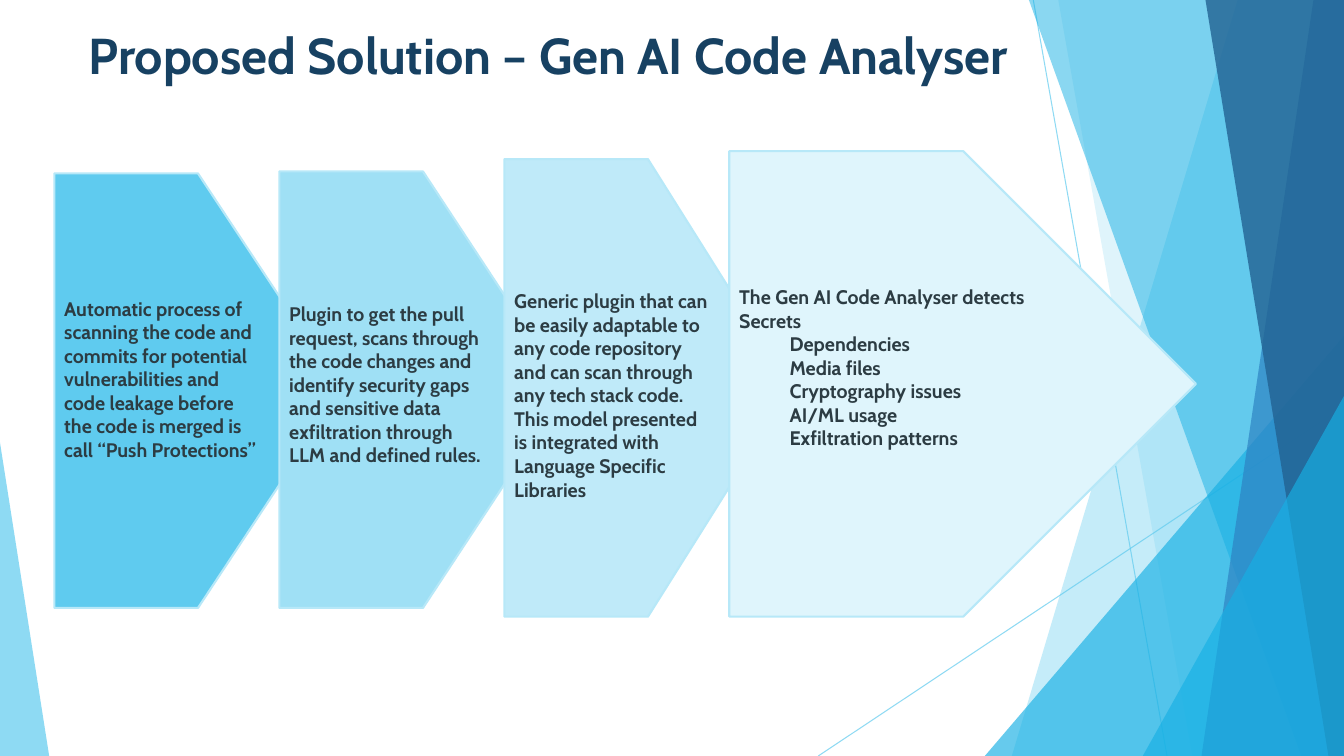
from dataclasses import dataclass

from lxml.etree import SubElement
from pptx import Presentation
from pptx.dml.color import RGBColor as Rgb
from pptx.enum.shapes import MSO_CONNECTOR as Link, MSO_SHAPE as Form
from pptx.enum.text import MSO_ANCHOR as Anchor, PP_ALIGN as Align
from pptx.oxml.ns import qn
from pptx.util import Cm, Pt


@dataclass(frozen=True)
class Theme:
    """Colours, font and type sizes of the slide."""
    font: str = "Cabin"
    title: str = "174162"
    ink: str = "2C3C43"
    edge: str = "B7E8F8"
    sky: str = "5FCBEF"
    cyan: str = "17B0E4"
    blue: str = "2E83C3"
    navy: str = "226292"
    steps: tuple = ("5FCBEF", "9FE0F5", "BFEAF9", "DFF5FC")
    head: int = 36
    body: int = 14


WIDE, HIGH = 33.87, 19.05


def tint(fmt, color, alpha=100):
    """Set a solid colour and its opacity in percent."""
    fmt.solid()
    fmt.fore_color.rgb = Rgb.from_string(color)
    if alpha < 100:
        node = next(fmt._xPr.iter(qn("a:srgbClr")))
        SubElement(node, qn("a:alpha"), val=str(alpha * 1000))


def write(frame, lines, *, font, size, color, inset=0, anchor=Anchor.TOP):
    """Fill a frame with bold lines, indenting all after the first."""
    frame.word_wrap = True
    frame.vertical_anchor = anchor
    for row, line in enumerate(lines):
        para = frame.paragraphs[0] if row == 0 else frame.add_paragraph()
        para.alignment = Align.LEFT
        if row and inset:
            prop = para._p.get_or_add_pPr()
            prop.set("marL", str(Cm(inset)))
            prop.set("indent", "0")
        run = para.add_run()
        run.text = line
        run.font.name, run.font.size, run.font.bold = font, Pt(size), True
        run.font.color.rgb = Rgb.from_string(color)


class Painter:
    """Draws themed elements on the current slide."""

    def __init__(self, slide, theme):
        """Keep the slide and the theme."""
        self.shapes, self.theme = slide.shapes, theme

    def line(self, *ends):
        """Draw a thin translucent line."""
        link = self.shapes.add_connector(Link.STRAIGHT, *map(Cm, ends))
        link.line.width = Pt(0.75)
        tint(link.line.fill, self.theme.sky, 70)
        SubElement(link._element.spPr, qn("a:effectLst"))

    def plain(self, shape, color, alpha):
        """Give a shape a flat fill with no outline."""
        shape.shadow.inherit = False
        shape.line.fill.background()
        tint(shape.fill, color, alpha)

    def band(self, top, foot, color, alpha):
        """Draw a slanted band that runs to the right edge."""
        pen = self.shapes.build_freeform(Cm(top), 0, scale=1.0)
        spots = [(WIDE, 0), (WIDE, HIGH), (foot, HIGH)]
        pen.add_line_segments([(Cm(x), Cm(y)) for x, y in spots], close=True)
        self.plain(pen.convert_to_shape(), color, alpha)

    def wedge(self, left, top, width, tip, color, alpha):
        """Draw a right triangle that stands on the bottom edge."""
        box = map(Cm, (left, top, width, HIGH - top))
        shape = self.shapes.add_shape(Form.ISOSCELES_TRIANGLE, *box)
        shape.adjustments[0] = tip
        self.plain(shape, color, alpha)

    def title(self, text):
        """Write the slide title."""
        look = self.theme
        box = self.shapes.add_textbox(Cm(1.98), Cm(0.48), Cm(29.21), Cm(2.57))
        write(box.text_frame, [text], font=look.font, size=look.head, color=look.title)

    def step(self, left, top, width, height, lift, color, lines):
        """Draw a pentagon arrow with its text lifted from the middle."""
        look = self.theme
        shape = self.shapes.add_shape(Form.PENTAGON, *map(Cm, (left, top, width, height)))
        shape.shadow.inherit = False
        tint(shape.fill, color)
        tint(shape.line.fill, look.edge)
        shape.line.width = Pt(1.5)
        frame = shape.text_frame
        frame.margin_top = Cm(0.13 + 2 * max(-lift, 0))
        frame.margin_bottom = Cm(0.13 + 2 * max(lift, 0))
        write(frame, lines, font=look.font, size=look.body, color=look.ink,
              inset=1.27, anchor=Anchor.MIDDLE)


STEPS = [
    (4.37, 7.24, 10.95, 0.3, [
        "Automatic process of scanning the code and commits for potential "
        "vulnerabilities and code leakage before the code is merged is call "
        "“Push Protections”"]),
    (4.32, 7.24, 11, 0.13, [
        "Plugin to get the pull request, scans through the code changes and "
        "identify security gaps and sensitive data exfiltration through LLM "
        "and defined rules."]),
    (4.01, 7.24, 11.53, -0.18, [
        "Generic plugin that can be easily adaptable to any code repository "
        "and can scan through any tech stack code. This model presented is "
        "integrated with Language Specific Libraries"]),
    (3.81, 11.76, 11.73, 0.42, [
        "The Gen AI Code Analyser detects Secrets", "Dependencies",
        "Media files", "Cryptography issues", "AI/ML usage",
        "Exfiltration patterns"]),
]


def main():
    """Build the slide and save it."""
    deck = Presentation()
    deck.slide_width, deck.slide_height = Cm(WIDE), Cm(HIGH)
    look = Theme()
    art = Painter(deck.slides.add_slide(deck.slide_layouts[6]), look)

    art.line(26.04, 0, 29.41, HIGH)
    art.line(WIDE, 10.24, 20.62, HIGH)
    art.band(31.19, 25.5, look.sky, 36)
    art.band(26.67, 30.05, look.sky, 20)
    art.wedge(24.82, 8.46, 9.05, 1, look.cyan, 66)
    art.band(25.93, 32.79, look.cyan, 50)
    art.band(33.1, 30.28, look.blue, 70)
    art.band(30.38, 33.48, look.navy, 80)
    art.wedge(28.8, 9.98, 5.07, 1, look.cyan, 66)
    art.wedge(0, 11.15, 1.24, 0, look.sky, 70)

    art.title("Proposed Solution – Gen AI Code Analyser")
    for col, (top, width, height, lift, lines) in enumerate(STEPS):
        art.step(1.37 + 5.67 * col, top, width, height, lift, look.steps[col], lines)
    deck.save("out.pptx")


if __name__ == "__main__":
    main()
